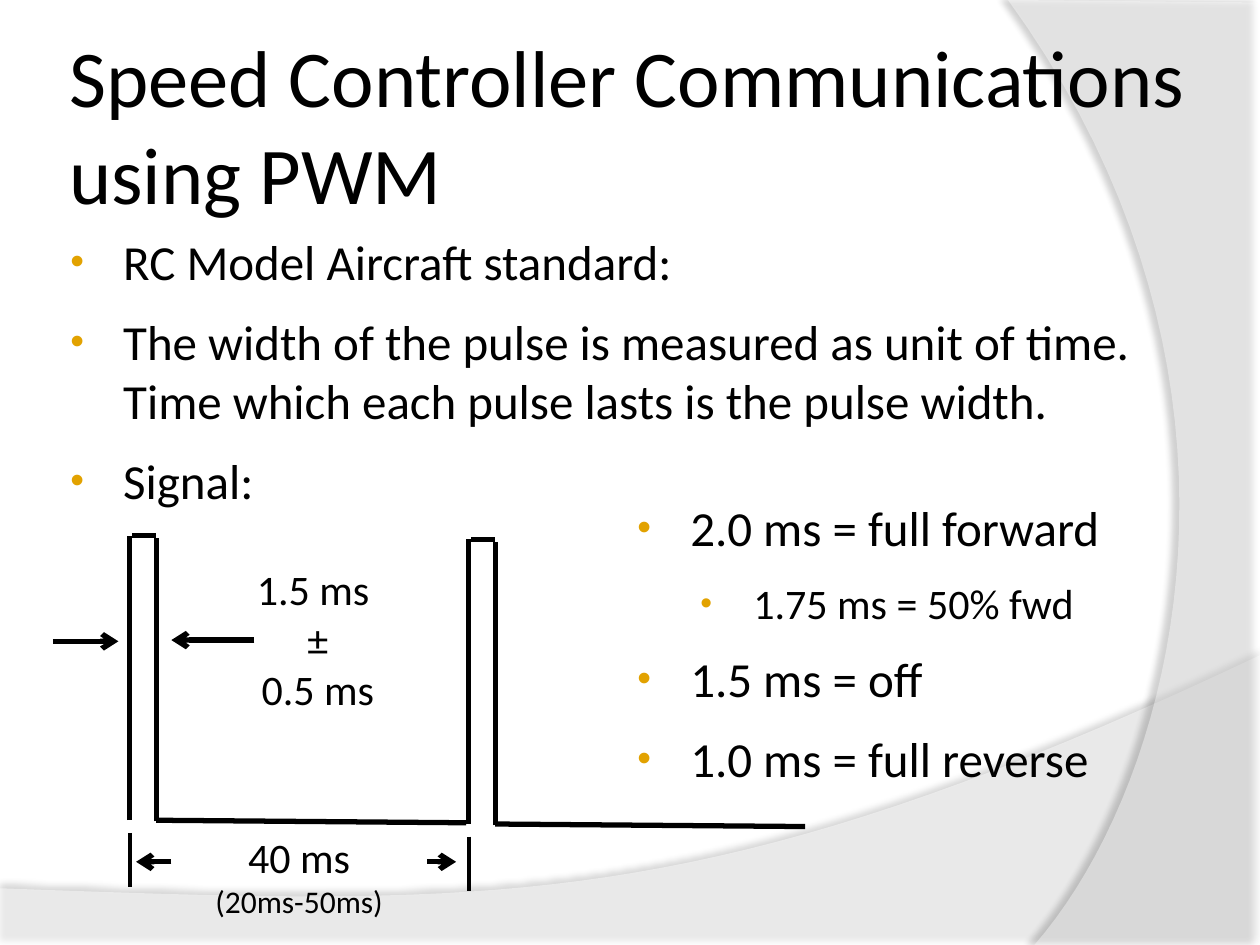
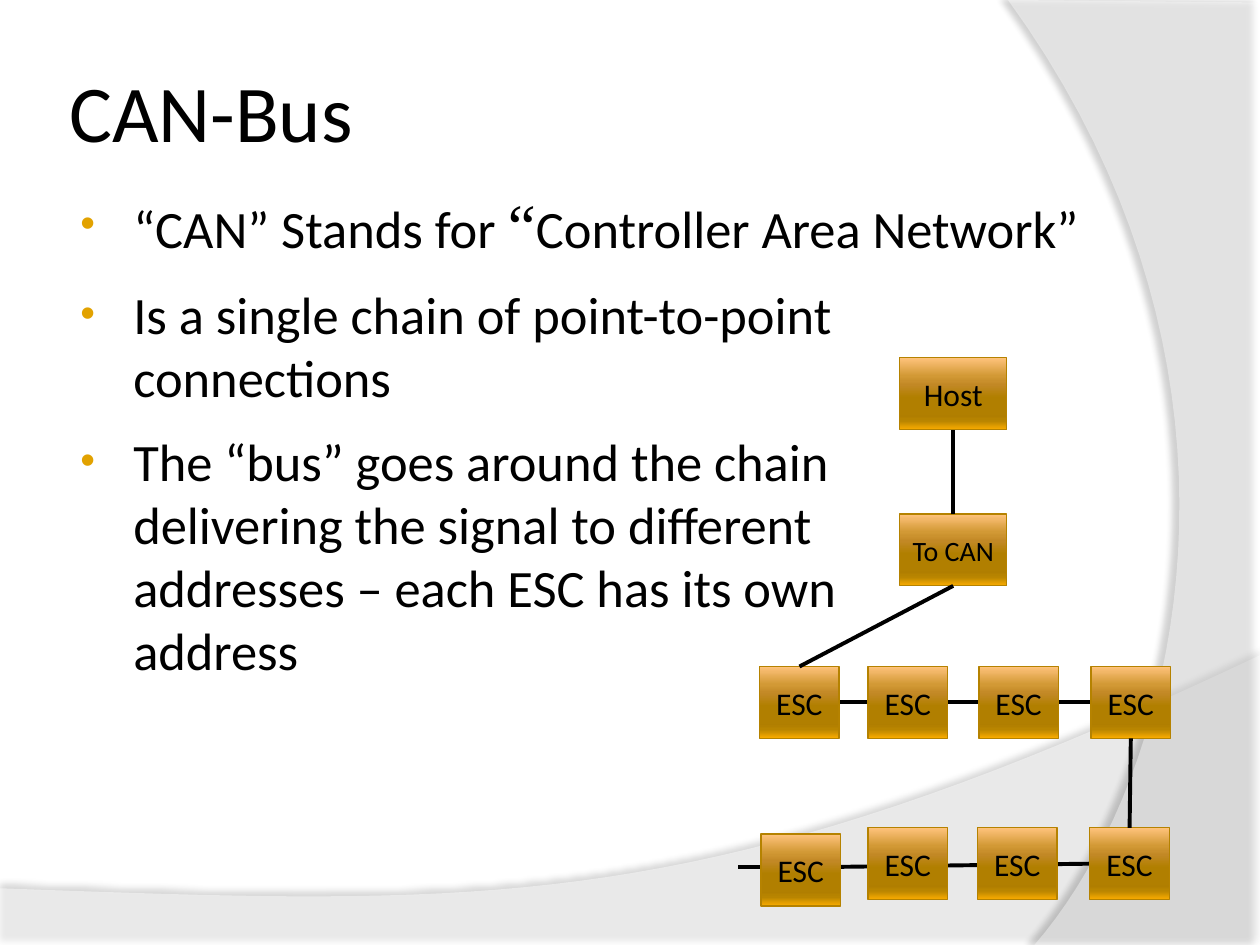
"""Build two slides on motor speed controllers: PWM signalling and the CAN bus."""
from lxml.etree import SubElement
from pptx import Presentation
from pptx.dml.color import RGBColor
from pptx.enum.shapes import MSO_CONNECTOR, MSO_SHAPE
from pptx.enum.text import MSO_ANCHOR, MSO_AUTO_SIZE, PP_ALIGN
from pptx.oxml.ns import qn
from pptx.util import Inches, Pt

FONT = "Calibri"
BLACK, WHITE, GOLD, BULLET = "000000", "FFFFFF", "B58200", "E2A200"
GRADIENT = ((0, "FFC37C"), (25, "D29935"), (38, "C28825"), (55, "B17F00"),
            (80, "B07E00"), (88, "B98500"), (100, "FAAC00"))
color = RGBColor.from_string


def write(frame, rows, align=PP_ALIGN.LEFT, bullets=False):
    """Fill a text frame with rows of (text, size, level)."""
    frame.word_wrap = True
    for index, (text, size, level) in enumerate(rows):
        para = frame.add_paragraph() if index else frame.paragraphs[0]
        para.text = text
        para.alignment = align
        para.level = level
        if bullets:
            props = para._p.get_or_add_pPr()
            props.set("marL", str(Inches(0.46 + 0.5 * level)))
            props.set("indent", str(Inches(-0.42)))
            para.space_before = Pt(12 if index else 0)
            tint = SubElement(props, qn("a:buClr"))
            SubElement(tint, qn("a:srgbClr"), val=BULLET)
            SubElement(props, qn("a:buSzPct"), val="80000")
            SubElement(props, qn("a:buFont"), typeface="Arial")
            SubElement(props, qn("a:buChar"), char="•")
        for span in para.runs:
            span.font.name = FONT
            span.font.size = Pt(size)
            span.font.color.rgb = color(BLACK)


def draw_line(page, x1, y1, x2, y2, weight=2.25, arrow=False):
    """Draw a straight black line, with an optional arrowhead at its end."""
    line = page.shapes.add_connector(MSO_CONNECTOR.STRAIGHT, Inches(x1), Inches(y1),
                                     Inches(x2), Inches(y2))
    line.line.color.rgb = color(BLACK)
    line.line.width = Pt(weight)
    props = line.element.spPr
    if arrow:
        SubElement(props.find(qn("a:ln")), qn("a:tailEnd"), type="arrow")
    SubElement(props, qn("a:effectLst"))
    return line


deck = Presentation()
deck.slide_width, deck.slide_height = Inches(10), Inches(7.5)
layout = deck.slide_layouts[5]
pages = []
for heading, top, width in (("Speed Controller Communications using PWM", 0.36, 9.5),
                            ("CAN-Bus", 0.25, 8.17)):
    page = deck.slides.add_slide(layout)
    title = page.shapes.title
    title.left, title.top = Inches(0.5), Inches(top)
    title.width, title.height = Inches(width), Inches(1.25)
    frame = title.text_frame
    frame.margin_left = frame.margin_right = Inches(0.05)
    frame.margin_top = frame.margin_bottom = Inches(0.05)
    frame.vertical_anchor = MSO_ANCHOR.MIDDLE
    frame.auto_size = MSO_AUTO_SIZE.NONE
    write(frame, [(heading, 46, 0)])
    pages.append(page)
pwm, can = pages

bands = (
    ([(0, 7.05), (0, 7.51), (10, 7.51), (10, 5.2)],
     [(10, 5.2), (5.59, 7.29), (3.91, 7.19), (0, 7.05)], 45, 35, 3.5, 270),
    ([(10, 0.02), (10, 7.5), (8.21, 7.5)],
     [(8.21, 7.5), (9.35, 6.19), (10.18, 3), (8, 0)], 40, 45, 4, 180),
)
for depth, (corners, curve, opacity, shade, distance, angle) in enumerate(bands):
    arc = []
    for step in range(1, 41):
        t = step / 40
        weights = ((1 - t) ** 3, 3 * t * (1 - t) ** 2, 3 * t * t * (1 - t), t ** 3)
        arc.append([sum(w * point[axis] for w, point in zip(weights, curve))
                    for axis in (0, 1)])
    outline = [(Inches(x), Inches(y)) for x, y in [*corners, *arc]]
    builder = pwm.shapes.build_freeform(*outline[0])
    builder.add_line_segments(outline[1:], close=True)
    band = builder.convert_to_shape()
    band.fill.solid()
    band.fill.fore_color.rgb = color(WHITE)
    band.line.fill.background()
    band.shadow.inherit = False
    props = band.element.spPr
    SubElement(props.find(".//" + qn("a:srgbClr")), qn("a:alpha"), val=str(opacity * 1000))
    shadow = SubElement(props.find(qn("a:effectLst")), qn("a:outerShdw"),
                        blurRad=str(Pt(4)), dist=str(Pt(distance)),
                        dir=str(angle * 60000), algn="ctr", rotWithShape="0")
    shadow_color = SubElement(shadow, qn("a:srgbClr"), val=BLACK)
    SubElement(shadow_color, qn("a:alpha"), val=str(shade * 1000))
    layout.shapes.element.insert(2 + depth, band.element)

body = pwm.shapes.add_textbox(Inches(0.42), Inches(1.79), Inches(8.84), Inches(4.95))
write(body.text_frame, [
    ("RC Model Aircraft standard:", 28, 0),
    ("The width of the pulse is measured as unit of time. "
     "Time which each pulse lasts is the pulse width.", 28, 0),
    ("Signal:", 28, 0)], bullets=True)

for left, top in ((1.03, 4.25), (3.72, 4.28)):
    right = left + 0.21
    draw_line(pwm, right, top + 2.26, left + 2.67, top + 2.28, 3)
    draw_line(pwm, left + 0.02, top, right, top, 3)
    draw_line(pwm, left, top + 2.26, left, top, 3)
    draw_line(pwm, right, top + 2.27, right, top + 0.02, 3)
    draw_line(pwm, left, top + 2.36, left, top + 2.79)

for start, end, y in ((3.39, 3.62, 6.84), (1.36, 1.08, 6.84),
                      (2.02, 1.36, 5.08), (0.42, 0.94, 5.09)):
    draw_line(pwm, start, y, end, y, 3, arrow=True)

pulse_label = pwm.shapes.add_textbox(Inches(1.76), Inches(4.42), Inches(1.45), Inches(1.31))
write(pulse_label.text_frame, [("1.5 ms", 24, 0), (" ±", 24, 0), (" 0.5 ms", 24, 0)],
      PP_ALIGN.CENTER)
period_label = pwm.shapes.add_textbox(Inches(1.36), Inches(6.55), Inches(2.03), Inches(0.81))
write(period_label.text_frame, [("40 ms", 24, 0), ("(20ms-50ms)", 18, 0)], PP_ALIGN.CENTER)

speeds = pwm.shapes.add_textbox(Inches(4.92), Inches(3.9), Inches(4.08), Inches(3.29))
write(speeds.text_frame, [
    ("2.0 ms = full forward", 28, 0),
    ("1.75 ms = 50% fwd", 24, 1),
    ("1.5 ms = off", 28, 0),
    ("1.0 ms = full reverse", 28, 0)], bullets=True)

draw_line(can, 5.86, 6.88, 6.37, 6.88)
lower_rail = draw_line(can, 6.65, 6.88, 8.65, 6.88)
upper_rail = draw_line(can, 6.66, 5.58, 8.66, 5.58)

body = can.shapes.add_textbox(Inches(0.5), Inches(1.42), Inches(8.17), Inches(4.95))
write(body.text_frame, [
    ("“CAN” Stands for ", 30, 0),
    ("Is a single chain of point-to-point connections", 30, 0),
    ("The “bus” goes around the chain \vdelivering the signal to different \v"
     "addresses – each ESC has its own \vaddress", 30, 0)], bullets=True)
for text, size, font in (("“", 36, "Times New Roman"), ("Controller Area Network”", 30, FONT)):
    span = body.text_frame.paragraphs[0].add_run()
    span.text = text
    span.font.name = font
    span.font.size = Pt(size)
    span.font.color.rgb = color(BLACK)

nodes = [("Host", 18, 7.14, 2.84, 0.85), ("To CAN ", 16, 7.14, 4.08, 0.85)]
nodes += [("ESC", 18, x, 5.29, 0.63) for x in (6.03, 6.89, 7.77, 8.66)]
nodes += [("ESC", 18, x, y, 0.63)
          for x, y in ((6.04, 6.62), (6.89, 6.57), (7.76, 6.57), (8.65, 6.57))]
boxes = []
for label, size, x, y, width in nodes:
    box = can.shapes.add_shape(MSO_SHAPE.RECTANGLE, Inches(x), Inches(y),
                               Inches(width), Inches(0.57))
    box.shadow.inherit = False
    box.fill.gradient()
    box.fill.gradient_angle = 270
    stops = box.element.spPr.find(".//" + qn("a:gsLst"))
    stops.clear()
    for position, shade in GRADIENT:
        stop = SubElement(stops, qn("a:gs"), pos=str(position * 1000))
        SubElement(stop, qn("a:srgbClr"), val=shade)
    box.line.color.rgb = color(GOLD)
    box.line.width = Pt(0.75)
    box.text_frame.vertical_anchor = MSO_ANCHOR.MIDDLE
    write(box.text_frame, [(label, size, 0)], PP_ALIGN.CENTER)
    boxes.append(box)

host, gateway, first_esc, last_esc, corner_esc = (boxes[i] for i in (0, 1, 2, 5, 9))
upper_rail.begin_connect(first_esc, 3)
upper_rail.end_connect(last_esc, 1)
lower_rail.end_connect(corner_esc, 1)
for upper, lower in ((host, gateway), (gateway, first_esc), (last_esc, corner_esc)):
    link = draw_line(can, 0, 0, 1, 1)
    link.begin_connect(lower, 0)
    link.end_connect(upper, 2)

deck.save("out.pptx")
